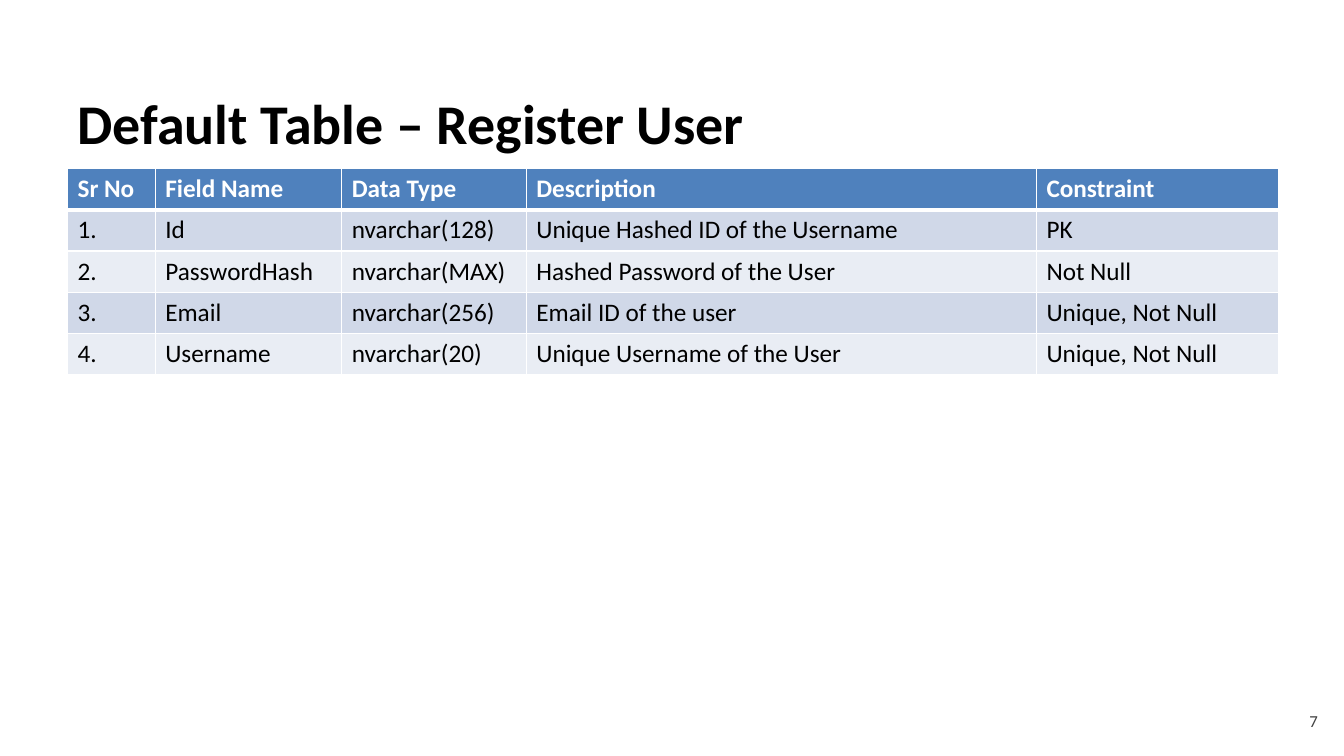
"""Build the slide that describes the user registration table."""
from lxml import etree
from pptx import Presentation
from pptx.dml.color import RGBColor
from pptx.enum.text import MSO_ANCHOR, PP_ALIGN
from pptx.oxml.ns import qn
from pptx.util import Inches, Pt

LEFT, RIGHT = PP_ALIGN.LEFT, PP_ALIGN.RIGHT
MIDDLE = MSO_ANCHOR.MIDDLE
BLACK = RGBColor(0x00, 0x00, 0x00)
WHITE = RGBColor(0xFF, 0xFF, 0xFF)
GRAY = RGBColor(0x40, 0x40, 0x40)
HEADER_BLUE = RGBColor(0x4F, 0x81, 0xBD)
BAND_DARK = RGBColor(0xD0, 0xD8, 0xE8)
BAND_LIGHT = RGBColor(0xE9, 0xED, 0xF4)

COLUMN_WIDTHS = (0.87, 1.85, 1.83, 5.06, 2.4)
ROW_HEIGHT = 0.41
FIELDS = (
    ("Sr No", "Field Name", "Data Type", "Description", "Constraint"),
    ("1.", "Id", "nvarchar(128)", "Unique Hashed ID of the Username", "PK"),
    ("2.", "PasswordHash", "nvarchar(MAX)", "Hashed Password of the User", "Not Null"),
    ("3.", "Email", "nvarchar(256)", "Email ID of the user", "Unique, Not Null"),
    ("4.", "Username", "nvarchar(20)", "Unique Username of the User", "Unique, Not Null"),
)


class SlideBuilder:
    """Hold the style and the current slide, and add elements to it."""

    font_name = "Calibri"
    table_size = 18
    border_color = WHITE

    def __init__(self, slide):
        self.slide = slide

    def style(self, paragraph, size, color, bold=False):
        """Set the font of a paragraph."""
        font = paragraph.font
        font.name = self.font_name
        font.size = Pt(size)
        font.bold = bold
        font.color.rgb = color

    def text(self, text, left, top, width, height, size, color, bold=False, align=LEFT):
        """Add a vertically centred text box."""
        shape = self.slide.shapes.add_textbox(
            Inches(left), Inches(top), Inches(width), Inches(height))
        frame = shape.text_frame
        frame.word_wrap = True
        frame.vertical_anchor = MIDDLE
        paragraph = frame.paragraphs[0]
        paragraph.text = text
        paragraph.alignment = align
        self.style(paragraph, size, color, bold)

    def border(self, cell, side, points):
        """Draw one side of a cell's border."""
        properties = cell._tc.get_or_add_tcPr()
        line = etree.SubElement(properties, qn(f"a:ln{side}"), w=str(Pt(points)))
        fill = etree.SubElement(line, qn("a:solidFill"))
        etree.SubElement(fill, qn("a:srgbClr"), val=str(self.border_color))

    def table(self, rows, left, top, column_widths, row_height):
        """Add a banded table with a header row."""
        shape = self.slide.shapes.add_table(
            len(rows), len(column_widths), Inches(left), Inches(top),
            Inches(sum(column_widths)), Inches(row_height * len(rows)))
        table = shape.table
        for column, width in zip(table.columns, column_widths):
            column.width = Inches(width)
        for row_index, values in enumerate(rows):
            table.rows[row_index].height = Inches(row_height)
            header = row_index == 0
            band = BAND_DARK if row_index % 2 else BAND_LIGHT
            for column_index, value in enumerate(values):
                cell = table.cell(row_index, column_index)
                cell.text = value
                self.style(cell.text_frame.paragraphs[0], self.table_size,
                           WHITE if header else BLACK, header)
                for side in "LRTB":
                    thick = (header and side == "B") or (row_index == 1 and side == "T")
                    self.border(cell, side, 3 if thick else 1)
                cell.fill.solid()
                cell.fill.fore_color.rgb = HEADER_BLUE if header else band


def main():
    """Create and save the presentation."""
    presentation = Presentation()
    presentation.slide_width = Inches(13.33)
    presentation.slide_height = Inches(7.5)
    builder = SlideBuilder(presentation.slides.add_slide(presentation.slide_layouts[6]))
    builder.text("Default Table – Register User", 0.67, 0.92, 12, 0.58, 40, BLACK, bold=True)
    builder.table(FIELDS, 0.67, 1.67, COLUMN_WIDTHS, ROW_HEIGHT)
    builder.text("7", 10.06, 6.95, 3.11, 0.4, 12, GRAY, align=RIGHT)
    presentation.save("out.pptx")


if __name__ == "__main__":
    main()
